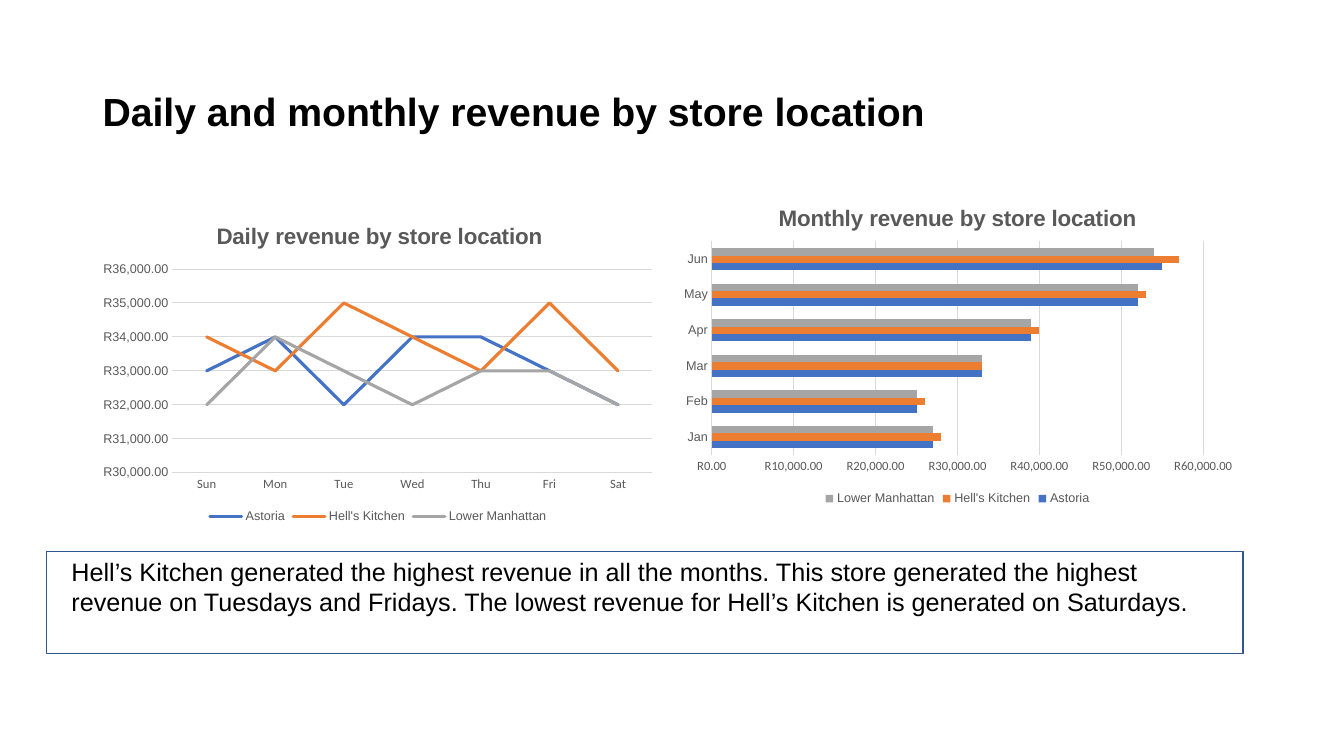
import pptx
import pptx.chart.data
import pptx.dml.color
import pptx.enum.chart
import pptx.enum.shapes
import pptx.enum.text
import pptx.oxml
import pptx.oxml.ns
import pptx.util

Cm = pptx.util.Cm
Pt = pptx.util.Pt
RGBColor = pptx.dml.color.RGBColor

BLACK = RGBColor(0x00, 0x00, 0x00)
GREY_TEXT = RGBColor(0x59, 0x59, 0x59)
GRID_GREY = RGBColor(0xD9, 0xD9, 0xD9)
FRAME_BLUE = RGBColor(0x32, 0x54, 0x91)
STORE_COLORS = {
    "Astoria": RGBColor(0x44, 0x72, 0xC4),
    "Hell's Kitchen": RGBColor(0xED, 0x7D, 0x31),
    "Lower Manhattan": RGBColor(0xA5, 0xA5, 0xA5),
}
RAND_FORMAT = "[$R-1C09]#,##0.00"

DAYS = ["Sun", "Mon", "Tue", "Wed", "Thu", "Fri", "Sat"]
DAILY_REVENUE = {
    "Astoria": [33000, 34000, 32000, 34000, 34000, 33000, 32000],
    "Hell's Kitchen": [34000, 33000, 35000, 34000, 33000, 35000, 33000],
    "Lower Manhattan": [32000, 34000, 33000, 32000, 33000, 33000, 32000],
}
MONTHS = ["Jan", "Feb", "Mar", "Apr", "May", "Jun"]
MONTHLY_REVENUE = {
    "Astoria": [27000, 25000, 33000, 39000, 52000, 55000],
    "Hell's Kitchen": [28000, 26000, 33000, 40000, 53000, 57000],
    "Lower Manhattan": [27000, 25000, 33000, 39000, 52000, 54000],
}
SUMMARY = (
    "Hell’s Kitchen generated the highest revenue in all the months. "
    "This store generated the highest revenue on Tuesdays and Fridays. "
    "The lowest revenue for Hell’s Kitchen is generated on Saturdays."
)


def format_font(font, size, color, name="Arial", bold=False):
    font.name, font.size, font.bold = name, Pt(size), bold
    font.color.rgb = color


def write_text(text_frame, text, size, color=BLACK, bold=False,
               align=pptx.enum.text.PP_ALIGN.LEFT, line_spacing=None):
    paragraph = text_frame.paragraphs[0]
    paragraph.alignment = align
    paragraph.line_spacing = line_spacing
    run = paragraph.add_run()
    run.text = text
    format_font(run.font, size, color, bold=bold)


def set_layout(element, target=None, **fractions):
    """Place a chart title or plot area by fractions of the chart."""
    for old_layout in element.findall(pptx.oxml.ns.qn("c:layout")):
        element.remove(old_layout)
    parts = f'<c:layoutTarget val="{target}"/>' if target else ""
    parts += "".join(f'<c:{side}Mode val="edge"/>' for side in "xy")
    parts += "".join(f'<c:{key} val="{value}"/>' for key, value in fractions.items())
    layout = pptx.oxml.parse_xml(
        f'<c:layout {pptx.oxml.ns.nsdecls("c")}>'
        f"<c:manualLayout>{parts}</c:manualLayout></c:layout>")
    text = element.find(pptx.oxml.ns.qn("c:tx"))
    element.insert(0 if text is None else element.index(text) + 1, layout)


def add_title(slide, left, top, width, height):
    title = slide.shapes.title
    title.left, title.top, title.width, title.height = left, top, width, height
    title.text_frame.vertical_anchor = pptx.enum.text.MSO_ANCHOR.MIDDLE
    write_text(title.text_frame, "Daily and monthly revenue by store location",
               size=28, bold=True, line_spacing=0.9)


def add_revenue_chart(slide, left, top, width, height, chart_type, title,
                      categories, revenue, title_at, plot_at, scale, axis_fonts):
    chart_data = pptx.chart.data.CategoryChartData(number_format=RAND_FORMAT)
    chart_data.categories = categories
    for store, values in revenue.items():
        chart_data.add_series(store, values)
    chart = slide.shapes.add_chart(
        chart_type, left, top, width, height, chart_data).chart
    format_font(chart.font, 10, BLACK, name="Calibri")

    # Title and plot area
    chart.has_title = True
    write_text(chart.chart_title.text_frame, title, size=16, color=GREY_TEXT,
               bold=True, align=pptx.enum.text.PP_ALIGN.CENTER)
    chart.chart_title.include_in_layout = False
    title_x, title_y = title_at
    set_layout(chart.element.chart.find(pptx.oxml.ns.qn("c:title")),
               x=title_x, y=title_y)
    plot_x, plot_y, plot_width, plot_height = plot_at
    set_layout(chart.element.chart.plotArea, target="inner",
               x=plot_x, y=plot_y, w=plot_width, h=plot_height)

    # Legend
    chart.has_legend = True
    chart.legend.position = pptx.enum.chart.XL_LEGEND_POSITION.BOTTOM
    chart.legend.include_in_layout = False
    format_font(chart.legend.font, 9, GREY_TEXT)

    # Axes
    for axis, font_name in zip((chart.category_axis, chart.value_axis), axis_fonts):
        axis.major_tick_mark = pptx.enum.chart.XL_TICK_MARK.NONE
        axis.minor_tick_mark = pptx.enum.chart.XL_TICK_MARK.NONE
        format_font(axis.tick_labels.font, 9, GREY_TEXT, name=font_name)
    axis_line = chart.category_axis.format.line
    grid_line = chart.value_axis.major_gridlines.format.line
    for line in (axis_line, grid_line):
        line.color.rgb, line.width = GRID_GREY, Pt(0.75)
    value_axis = chart.value_axis
    value_axis.format.line.fill.background()
    value_axis.minimum_scale, value_axis.maximum_scale, value_axis.major_unit = scale
    value_axis.tick_labels.number_format = RAND_FORMAT
    value_axis.tick_labels.number_format_is_linked = False

    # Series
    plot = chart.plots[0]
    plot.vary_by_categories = False
    is_line = chart_type == pptx.enum.chart.XL_CHART_TYPE.LINE
    if not is_line:
        plot.gap_width = 182
    for series in plot.series:
        color = STORE_COLORS[series.name]
        if is_line:
            series.smooth = False
            series.marker.style = pptx.enum.chart.XL_MARKER_STYLE.NONE
            series.format.line.color.rgb = color
            series.format.line.width = Pt(2.25)
            series.format.line._get_or_add_ln().set("cap", "rnd")
        else:
            series.format.fill.solid()
            series.format.fill.fore_color.rgb = color


def add_summary(slide, left, top, width, height):
    inset = Cm(0.38)
    text_box = slide.shapes.add_textbox(left + inset, top, width - 2 * inset, Cm(1.8))
    text_box.text_frame.word_wrap = True
    write_text(text_box.text_frame, SUMMARY, size=18)

    # Outline around the text
    frame = slide.shapes.add_shape(
        pptx.enum.shapes.MSO_SHAPE.RECTANGLE, left, top, width, height)
    frame.shadow.inherit = False
    frame.fill.background()
    frame.line.color.rgb, frame.line.width = FRAME_BLUE, Pt(1)


def build_revenue_slide(presentation):
    slide = presentation.slides.add_slide(
        presentation.slide_layouts.get_by_name("Title Only"))
    margin, chart_width, chart_height = Cm(2.33), Cm(14.4), Cm(8.15)
    add_title(slide, margin, Cm(1.02), Cm(29.2), Cm(3.68))
    add_revenue_chart(
        slide, margin, Cm(5.15), chart_width, chart_height,
        pptx.enum.chart.XL_CHART_TYPE.LINE, "Daily revenue by store location",
        DAYS, DAILY_REVENUE, title_at=(0.21, 0.04), plot_at=(0.14, 0.2, 0.84, 0.63),
        scale=(30000, 36000, 1000), axis_fonts=("Calibri", "Arial"))
    add_revenue_chart(
        slide, margin + chart_width + Cm(0.2), Cm(4.7), chart_width, chart_height,
        pptx.enum.chart.XL_CHART_TYPE.BAR_CLUSTERED, "Monthly revenue by store location",
        MONTHS, MONTHLY_REVENUE, title_at=(0.18, 0.04), plot_at=(0.07, 0.17, 0.86, 0.66),
        scale=(0, 60000, 10000), axis_fonts=("Arial", "Calibri"))
    add_summary(slide, Cm(1.17), Cm(13.9), Cm(30.16), Cm(2.57))


def main():
    presentation = pptx.Presentation()
    presentation.slide_width, presentation.slide_height = Cm(33.87), Cm(19.05)
    build_revenue_slide(presentation)
    presentation.save("out.pptx")


if __name__ == "__main__":
    main()
